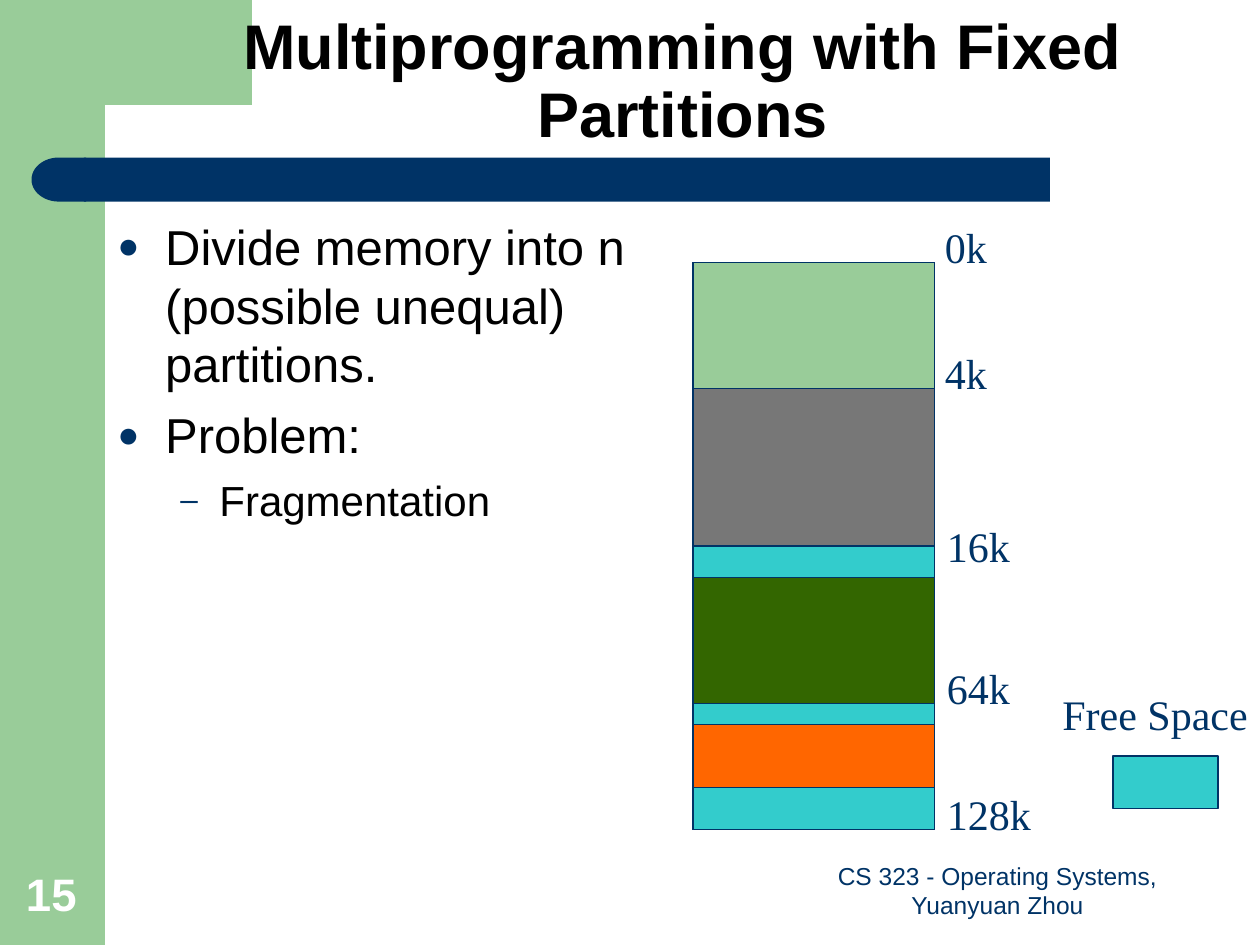
from dataclasses import dataclass

from lxml.etree import SubElement
from pptx import Presentation
from pptx.dml.color import RGBColor
from pptx.enum.shapes import MSO_SHAPE as Shape
from pptx.enum.text import MSO_ANCHOR as Anchor, MSO_AUTO_SIZE as AutoSize, PP_ALIGN as Align
from pptx.oxml.ns import qn
from pptx.util import Inches, Pt

COLORS = {
    "navy": "003366", "sage": "99CC99", "free": "33CCCC", "gray": "777777",
    "forest": "336600", "orange": "FF6600", "black": "000000", "white": "FFFFFF",
}
COLS, ROWS = 120, 90
WIDTH, HEIGHT = Inches(10), Inches(7.5)
MEMORY_COL, MEMORY_ROW, MEMORY_COLS, MEMORY_ROWS = 66, 25, 23, 54


@dataclass
class Partition:
    rows: float
    used: float
    color: str


@dataclass
class Label:
    text: str
    col: float
    row: float
    cols: float


@dataclass
class Bullet:
    text: str
    size: int
    char: str
    level: int
    margin: float
    hang: float
    before: int


PARTITIONS = [
    Partition(12, 12, "sage"),
    Partition(18, 15, "gray"),
    Partition(14, 12, "forest"),
    Partition(10, 6, "orange"),
]
LABELS = [
    Label("0k", 88.8, 20.55, 6.4),
    Label("4k", 88.8, 32.55, 6.4),
    Label("16k", 89, 49, 8.4),
    Label("64k", 89, 62.55, 8.4),
    Label("128k", 89, 74.55, 10.4),
    Label("Free Space", 100, 65, 20),
]
BULLETS = [
    Bullet("Divide memory into n (possible unequal) partitions.", 28, "●", 0, 0.38, 0.38, 7),
    Bullet("Problem:", 28, "●", 0, 0.38, 0.38, 7),
    Bullet("Fragmentation", 24, "–", 1, 0.81, 0.31, 6),
]


def x(col: float) -> int:
    return round(WIDTH * col / COLS)


def y(row: float) -> int:
    return round(HEIGHT * row / ROWS)


def rgb(name: str) -> RGBColor:
    return RGBColor.from_string(COLORS[name])


def paint(sp, color: str, outlined: bool = False) -> None:
    sp.shadow.inherit = False
    sp.fill.solid()
    sp.fill.fore_color.rgb = rgb(color)
    if outlined:
        sp.line.color.rgb = rgb("navy")
        sp.line.width = Pt(0.75)
    else:
        sp.line.fill.background()


def add_block(s, col: float, row: float, cols: float, rows: float, color: str,
              outlined: bool = False, kind=Shape.RECTANGLE):
    sp = s.shapes.add_shape(kind, x(col), y(row), x(cols), y(rows))
    paint(sp, color, outlined)
    return sp


def add_run(p, text: str, size: int, color: str, font: str = "Arial", bold: bool = False) -> None:
    r = p.add_run()
    r.text = text
    r.font.name, r.font.size, r.font.bold = font, Pt(size), bold
    r.font.color.rgb = rgb(color)


def add_box(s, col: float, row: float, cols: float, rows: float, anchor=Anchor.TOP):
    tf = s.shapes.add_textbox(x(col), y(row), x(cols), y(rows)).text_frame
    tf.word_wrap, tf.vertical_anchor = True, anchor
    return tf


def add_label(s, label: Label) -> None:
    tf = add_box(s, label.col, label.row, label.cols, 6)
    tf.margin_right = 0
    add_run(tf.paragraphs[0], label.text, 24, "navy", "Times New Roman")


def format_bullet(p, bullet: Bullet) -> None:
    p.level, p.space_before = bullet.level, Pt(bullet.before)
    pPr = p._p.get_or_add_pPr()
    pPr.set("marL", str(Inches(bullet.margin)))
    pPr.set("indent", str(-Inches(bullet.hang)))
    color = SubElement(pPr, qn("a:buClr"))
    SubElement(color, qn("a:srgbClr"), val=COLORS["navy"])
    SubElement(pPr, qn("a:buSzPct"), val="75000")
    SubElement(pPr, qn("a:buFont"), typeface="Arial")
    SubElement(pPr, qn("a:buChar"), char=bullet.char)


def add_frame(s) -> None:
    add_block(s, 0, 0, 10, ROWS, "sage")
    corner = s.shapes.build_freeform(x(6), 0, scale=1.0)
    outline = [(24, 0), (24, 10), (10, 10), (9.2, 10.2), (8.5, 11), (8.2, 12.5),
               (8, 14), (8, 15.4), (6, 15.4)]
    corner.add_line_segments([(x(col), y(row)) for col, row in outline], close=True)
    paint(corner.convert_to_shape(), "sage")
    add_block(s, 8, 15, 92, 4.2, "navy")
    cap = add_block(s, 3, 15, 5.2, 4.2, "navy", kind=Shape.FLOWCHART_DELAY)
    cap._element.spPr.find(qn("a:xfrm")).set("flipH", "1")


def add_title(s) -> None:
    title = s.shapes.title
    s.shapes._spTree.append(title._element)
    title.left, title.top, title.width, title.height = x(13), 0, x(104), y(15)
    tf = title.text_frame
    tf.word_wrap, tf.auto_size, tf.vertical_anchor = True, AutoSize.NONE, Anchor.BOTTOM
    p = tf.paragraphs[0]
    p.alignment, p.line_spacing = Align.CENTER, 0.9
    add_run(p, "Multiprogramming with Fixed Partitions", 36, "black", bold=True)


def add_bullets(s) -> None:
    tf = add_box(s, 10, 20, 54, 62)
    for i, bullet in enumerate(BULLETS):
        p = tf.add_paragraph() if i else tf.paragraphs[0]
        format_bullet(p, bullet)
        add_run(p, bullet.text, bullet.size, "black")


def add_memory(s) -> None:
    add_block(s, MEMORY_COL, MEMORY_ROW, MEMORY_COLS, MEMORY_ROWS, "free", True)
    row = MEMORY_ROW
    for part in PARTITIONS:
        if part.used < part.rows:
            add_block(s, MEMORY_COL, row, MEMORY_COLS, part.rows, "free", True)
        add_block(s, MEMORY_COL, row, MEMORY_COLS, part.used, part.color, True)
        row += part.rows
    add_block(s, 106, 72, 10, 5, "free", True)
    for label in LABELS:
        add_label(s, label)


def add_footer(s) -> None:
    p = add_box(s, 76, 82, 38, 6.2, Anchor.BOTTOM).paragraphs[0]
    p.alignment = Align.CENTER
    add_run(p, "CS 323 - Operating Systems, Yuanyuan Zhou", 14, "navy")
    p = add_box(s, 1.3, 82, 7.7, 6.3, Anchor.BOTTOM).paragraphs[0]
    add_run(p, "15", 26, "white", bold=True)


def main() -> None:
    prs = Presentation()
    prs.slide_width, prs.slide_height = WIDTH, HEIGHT
    s = prs.slides.add_slide(prs.slide_layouts[5])
    add_frame(s)
    add_title(s)
    add_bullets(s)
    add_memory(s)
    add_footer(s)
    prs.save("out.pptx")


if __name__ == "__main__":
    main()
